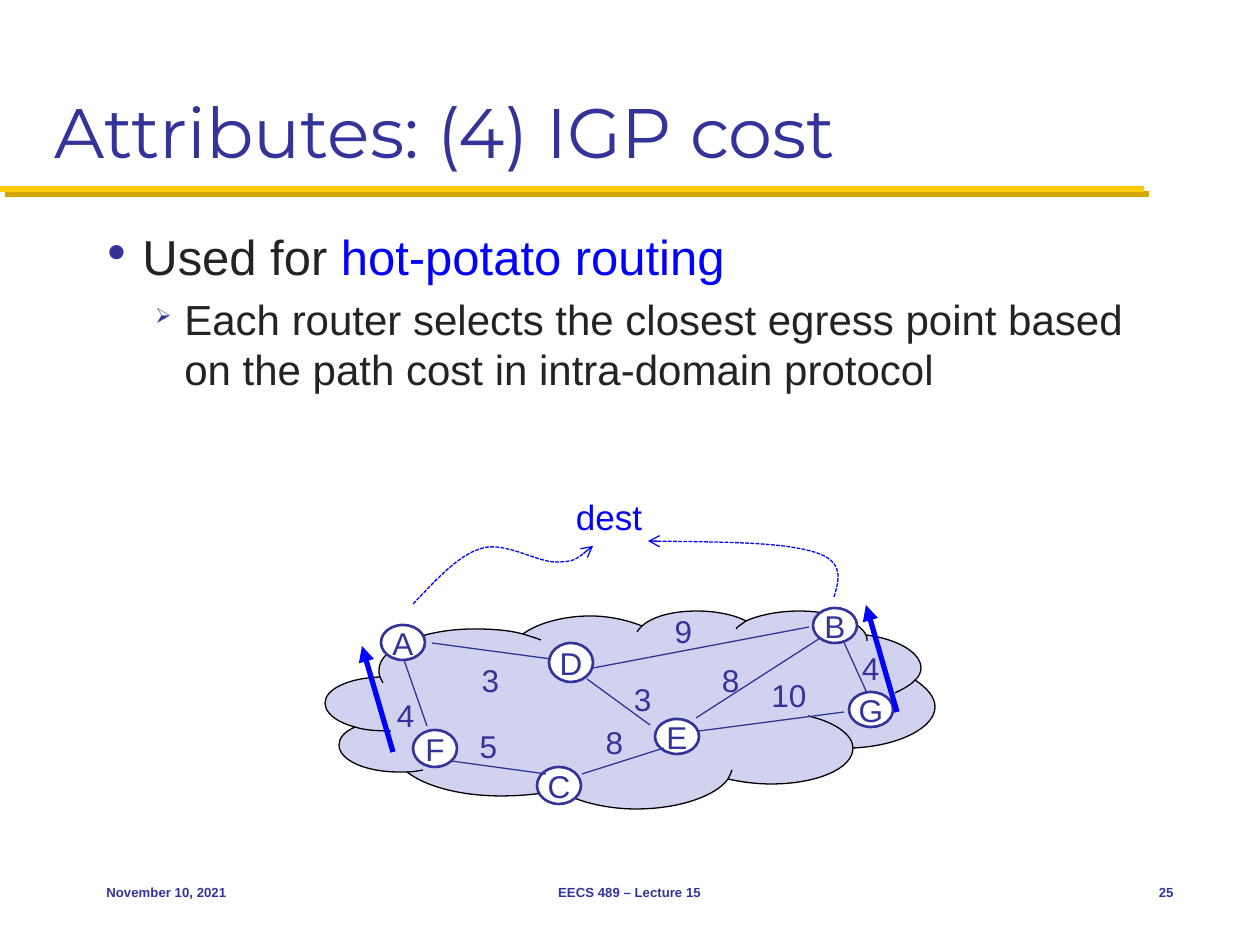
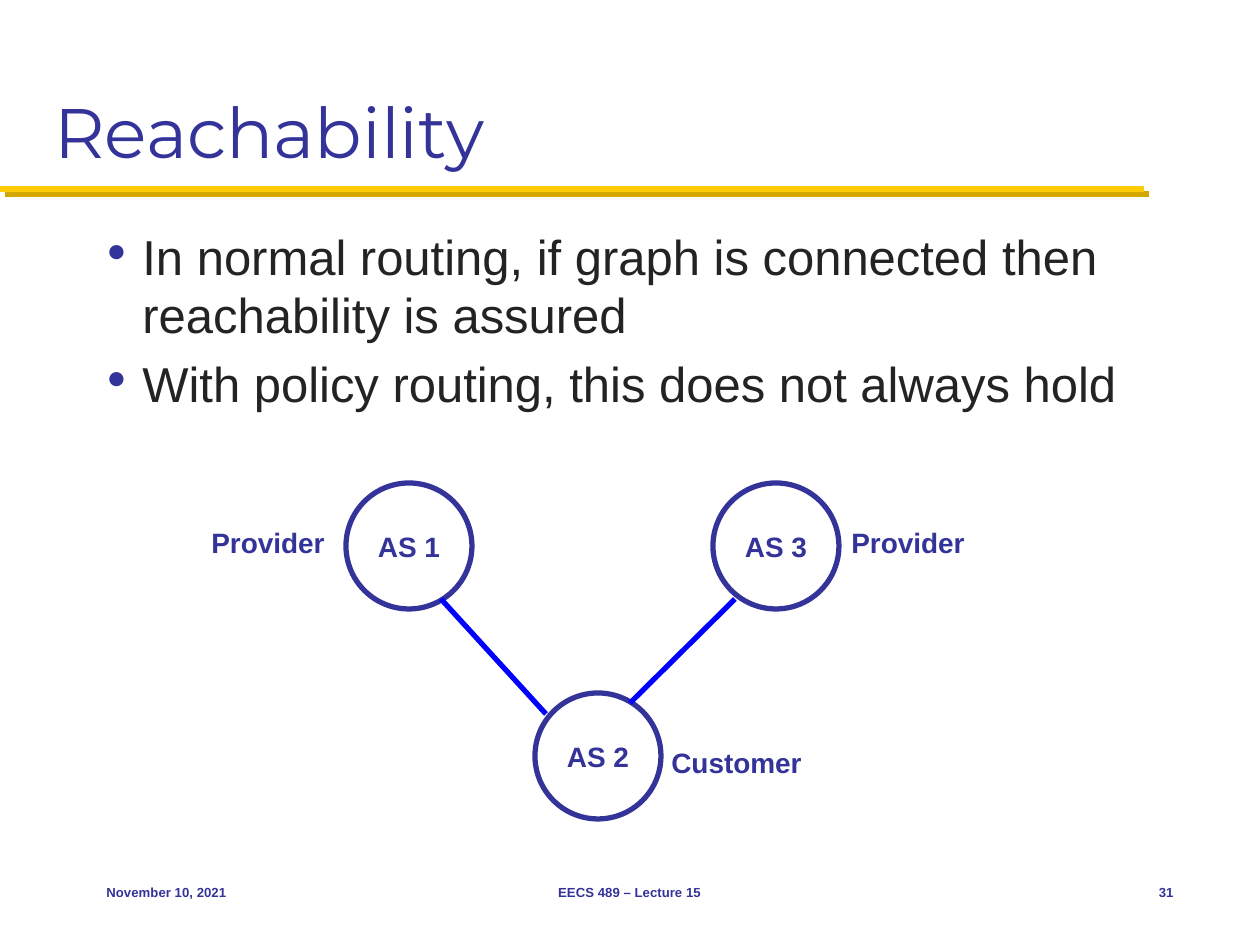
from dataclasses import dataclass
from lxml.etree import SubElement as Sub
from pptx import Presentation
from pptx.dml.color import RGBColor as RGB
from pptx.enum.dml import MSO_LINE as Dash
from pptx.enum.shapes import MSO_CONNECTOR as Conn, MSO_SHAPE as Shape
from pptx.enum.text import MSO_ANCHOR as Anchor, PP_ALIGN as Align
from pptx.oxml.ns import qn
from pptx.util import Pt

SCALE = 914400 / 126  # EMU in one pixel


@dataclass(frozen=True)
class Theme:
    navy: str = "333399"
    blue: str = "0000FF"
    ink: str = "232323"
    white: str = "FFFFFF"
    black: str = "000000"
    cloud: str = "D1D1F0"
    gold: str = "FFCB05"
    shade: str = "D3A600"
    font: str = "Arial"
    head: str = "Montserrat"
    mark: str = "Wingdings"
    title: float = 40
    body: tuple = (28, 24)
    dest: float = 20
    node: float = 18
    label: float = 16
    foot: float = 7.5


T = Theme()


def emu(n):
    return round(n * SCALE)


# Shared drawing helpers

def style(run, size, color, bold=False, font=T.font):
    run.font.size = Pt(size)
    run.font.name = font
    run.font.bold = bold
    run.font.color.rgb = RGB.from_string(color)


def write(shape, text, size, color=T.navy, align=Align.LEFT,
          anchor=Anchor.MIDDLE, wrap=True, **look):
    frame = shape.text_frame
    frame.text = text
    frame.word_wrap = wrap
    frame.vertical_anchor = anchor
    para = frame.paragraphs[0]
    para.alignment = align
    style(para.runs[0], size, color, **look)


def label(slide, box, text, size, **look):
    shape = slide.shapes.add_textbox(*map(emu, box))
    write(shape, text, size, **look)


def fill(shape, color):
    if color:
        shape.fill.solid()
        shape.fill.fore_color.rgb = RGB.from_string(color)
    else:
        shape.fill.background()


def stroke(shape, color, width, head=None):
    shape.line.color.rgb = RGB.from_string(color)
    shape.line.width = Pt(width)
    if head:
        line = shape.element.spPr.find(qn("a:ln"))
        Sub(line, qn("a:tailEnd"), type=head)


def link(slide, ends, color, width, head=None):
    """Draw a straight line and return its effect list."""
    shape = slide.shapes.add_connector(Conn.STRAIGHT, *map(emu, ends))
    effect = Sub(shape.element.spPr, qn("a:effectLst"))
    stroke(shape, color, width, head)
    return effect


def disc(slide, box, text, size, width, color=None, bold=False):
    shape = slide.shapes.add_shape(Shape.OVAL, *map(emu, box))
    shape.shadow.inherit = False
    fill(shape, color)
    stroke(shape, T.navy, width)
    write(shape, text, size, align=Align.CENTER, wrap=False, bold=bold)


def curve(slide, x, y, start, bends, color=None, folds=()):
    """Cubic curves from start; folds are unfilled strokes inside them."""
    def pairs(row):
        return [(emu(x + a), emu(y + b)) for a, b in zip(row[::2], row[1::2])]

    first = pairs(start)[0]
    pen = slide.shapes.build_freeform(*first, scale=1.0)
    pen.add_line_segments([p for row in bends for p in pairs(row)],
                          close=False)
    shape = pen.convert_to_shape()
    shape.shadow.inherit = False

    # Turn the control points into true curves
    tracks = shape.element.spPr.find(qn("a:custGeom")).find(qn("a:pathLst"))
    tracks.clear()
    for i, (origin, rows) in enumerate([(start, bends), *folds]):
        track = Sub(tracks, qn("a:path"), w=str(shape.width),
                    h=str(shape.height))
        if i or not color:
            track.set("fill", "none")
        for tag, row in [("a:moveTo", origin),
                         *(("a:cubicBezTo", row) for row in rows)]:
            step = Sub(track, qn(tag))
            for px, py in pairs(row):
                Sub(step, qn("a:pt"), x=str(px - shape.left),
                    y=str(py - shape.top))
        if color and not i:
            Sub(track, qn("a:close"))
    fill(shape, color)
    stroke(shape, T.black, 0.75)
    return shape


# Parts of every slide

def header(slide, box, text):
    x, y, w, h = box
    base = y + h + 10
    effect = link(slide, (0, base, 1144, base), T.gold, 3.5)
    shade = Sub(effect, qn("a:outerShdw"), dist=str(Pt(4.2)), dir="2700000",
                algn="ctr", rotWithShape="0")
    Sub(shade, qn("a:srgbClr"), val=T.shade)
    label(slide, box, text, T.title, anchor=Anchor.BOTTOM, font=T.head)


def bullets(slide, box, items):
    """Each item is a level and a list of (text, colour) runs."""
    frame = slide.shapes.add_textbox(*map(emu, box)).text_frame
    frame.word_wrap = True
    for i, (level, parts) in enumerate(items):
        para = frame.add_paragraph() if i else frame.paragraphs[0]
        size = T.body[level]
        para.level = level
        para.space_before = Pt(size * 0.2)
        left, hang, mark = ((35, 35, "l"), (77, 29, "Ø"))[level]
        props = para._p.get_or_add_pPr()
        props.set("marL", str(emu(left)))
        props.set("indent", str(-emu(hang)))
        tint = Sub(props, qn("a:buClr"))
        Sub(tint, qn("a:srgbClr"), val=T.navy)
        Sub(props, qn("a:buSzPct"), val="50000")
        Sub(props, qn("a:buFont"), typeface=T.mark, charset="2")
        Sub(props, qn("a:buChar"), char=mark)
        for text, color in parts:
            run = para.add_run()
            run.text = text
            style(run, size, color)


def footer(slide, box, number):
    x, y, w, h = box
    parts = ((0, 262, "November 10, 2021", Align.LEFT),
             (336, 399, "EECS 489 – Lecture 15", Align.CENTER),
             (w - 84, 84, number, Align.RIGHT))
    for dx, wide, text, align in parts:
        label(slide, (x + dx, y, wide, h), text, T.foot,
              align=align, bold=True)


def page(deck, title, items, number, tall):
    slide = deck.slides.add_slide(deck.slide_layouts[6])
    header(slide, (42, 21, 1176, 158), title)
    bullets(slide, (95, 220, 1092, tall), items)
    footer(slide, (94, 861, 1092, 63), number)
    return slide


# Cloud of routers with link costs

RIM = (
    (49, 198, 25, 209, 25, 223), (25, 233, 36, 242, 55, 247),
    (44, 252, 39, 258, 39, 265), (39, 280, 65, 292, 99, 292),
    (102, 292, 104, 292, 107, 292), (126, 307, 162, 316, 201, 316),
    (222, 316, 241, 314, 258, 310), (275, 321, 305, 329, 336, 329),
    (379, 329, 416, 316, 428, 299), (441, 302, 456, 304, 471, 304),
    (516, 304, 553, 289, 553, 268), (600, 266, 635, 247, 635, 227),
    (635, 217, 627, 208, 615, 200), (619, 197, 621, 192, 621, 188),
    (621, 173, 598, 159, 566, 155), (559, 141, 532, 131, 499, 131),
    (479, 131, 459, 135, 446, 141), (435, 135, 416, 131, 397, 131),
    (374, 131, 353, 136, 342, 146), (327, 140, 309, 136, 290, 136),
    (262, 136, 236, 144, 223, 154), (208, 150, 191, 149, 174, 149),
    (122, 149, 79, 168, 79, 190), (79, 193, 79, 195, 80, 197),
)
FOLDS = (
    ((55, 247), [(64, 250, 75, 251, 91, 251)]),
    ((107, 292), [(112, 292, 118, 291, 123, 290)]),
    ((248, 301), [(251, 305, 253, 308, 257, 310)]),
    ((428, 299), [(430, 296, 431, 292, 432, 290)]),
    ((553, 268), [(553, 255, 535, 242, 508, 236)]),
    ((595, 213), [(603, 209, 611, 205, 615, 200)]),
    ((567, 161), [(567, 159, 567, 157, 566, 155)]),
    ((446, 141), [(442, 144, 438, 146, 436, 149)]),
    ((342, 146), [(340, 148, 338, 150, 337, 152)]),
    ((241, 160), [(236, 158, 229, 156, 223, 154)]),
    ((80, 197), [(81, 199, 82, 201, 83, 203)]),
)
NODES = (("C", 237, 287, 37), ("D", 249, 163, 39), ("G", 549, 212, 35),
         ("E", 355, 239, 35), ("F", 113, 250, 37),
         ("A", 81, 145, 35), ("B", 513, 128, 35))
LINKS = (
    (127, 246, 104, 180), (151, 281, 246, 294), (132, 163, 251, 179),
    (282, 294, 364, 268), (287, 199, 350, 245), (293, 188, 509, 147),
    (399, 251, 544, 232), (567, 213, 542, 158), (396, 238, 525, 155),
)
COSTS = (("4", 84, 210), ("5", 167, 241), ("3", 169, 175), ("9", 362, 126),
         ("3", 321, 194), ("4", 549, 163), ("10", 459, 190),
         ("8", 409, 175), ("8", 293, 237))
ROUTES = (
    ((113, 124), ((136, 100, 159, 74, 183, 68), (207, 62, 238, 83, 257, 82),
                  (275, 82, 283, 74, 293, 66))),
    ((534, 117), ((539, 100, 545, 81, 514, 72), (482, 62, 414, 62, 348, 61))),
)
EXITS = ((93, 272, 62, 166), (597, 232, 566, 125))


def network(slide, x, y):
    def place(ends):
        a, b, c, d = ends
        return x + a, y + b, x + c, y + d

    def nodes(group):
        for name, dx, dy, tall in group:
            disc(slide, (x + dx, y + dy, 44, tall), name, T.node, 1.5,
                 T.white)

    # Cloud outline with its inner folds
    curve(slide, x, y, (80, 197), RIM, T.cloud, FOLDS)

    # Routers, links and costs; the border routers A and B lie on top
    nodes(NODES[:5])
    for ends in LINKS:
        link(slide, place(ends), T.navy, 0.75)
    for cost, dx, dy in COSTS:
        wide = 26 + 17 * len(cost)
        label(slide, (x + dx, y + dy, wide, 50), cost, T.node,
              align=Align.CENTER, anchor=Anchor.TOP, wrap=False)
    nodes(NODES[5:])

    # Routes to the destination
    for start, bends in ROUTES:
        route = curve(slide, x, y, start, bends)
        route.line.dash_style = Dash.SQUARE_DOT
        stroke(route, T.blue, 0.75, "arrow")
    label(slide, (x + 263, y + 9, 92, 55), "dest", T.dest, color=T.blue,
          align=Align.CENTER, anchor=Anchor.TOP, wrap=False)
    for ends in EXITS:
        link(slide, place(ends), T.blue, 3, "triangle")


# Two providers that share one customer

def peers(slide, x, y):
    side = 126
    for name, dx, dy in (("AS 2", 336, 210), ("AS 3", 514, 0),
                         ("AS 1", 147, 0)):
        disc(slide, (x + dx, y + dy, side, side), name, T.label, 3, bold=True)
    for a, b, c, d in ((431, 220, 536, 116), (347, 231, 242, 116)):
        link(slide, (x + a, y + b, x + c, y + d), T.blue, 3)
    for role, dx, dy, wide in (("Provider", 0, 32, 168),
                               ("Provider", 640, 32, 168),
                               ("Customer", 460, 252, 191)):
        label(slide, (x + dx, y + dy, wide, 54), role, T.label, bold=True)


deck = Presentation()
deck.slide_width, deck.slide_height = emu(1260), emu(945)

cost = page(deck, "Attributes: (4) IGP cost", [
    (0, [("Used for ", T.ink), ("hot-potato routing", T.blue)]),
    (1, [("Each router selects the closest egress point based on the path "
          "cost in intra-domain protocol", T.ink)]),
], "25", 609)
network(cost, 300, 480)

reach = page(deck, "Reachability", [
    (0, [("In normal routing, if graph is connected then reachability is "
          "assured", T.ink)]),
    (0, [("With policy routing, this does not always hold", T.ink)]),
], "31", 238)
peers(reach, 199, 483)

deck.save("out.pptx")
